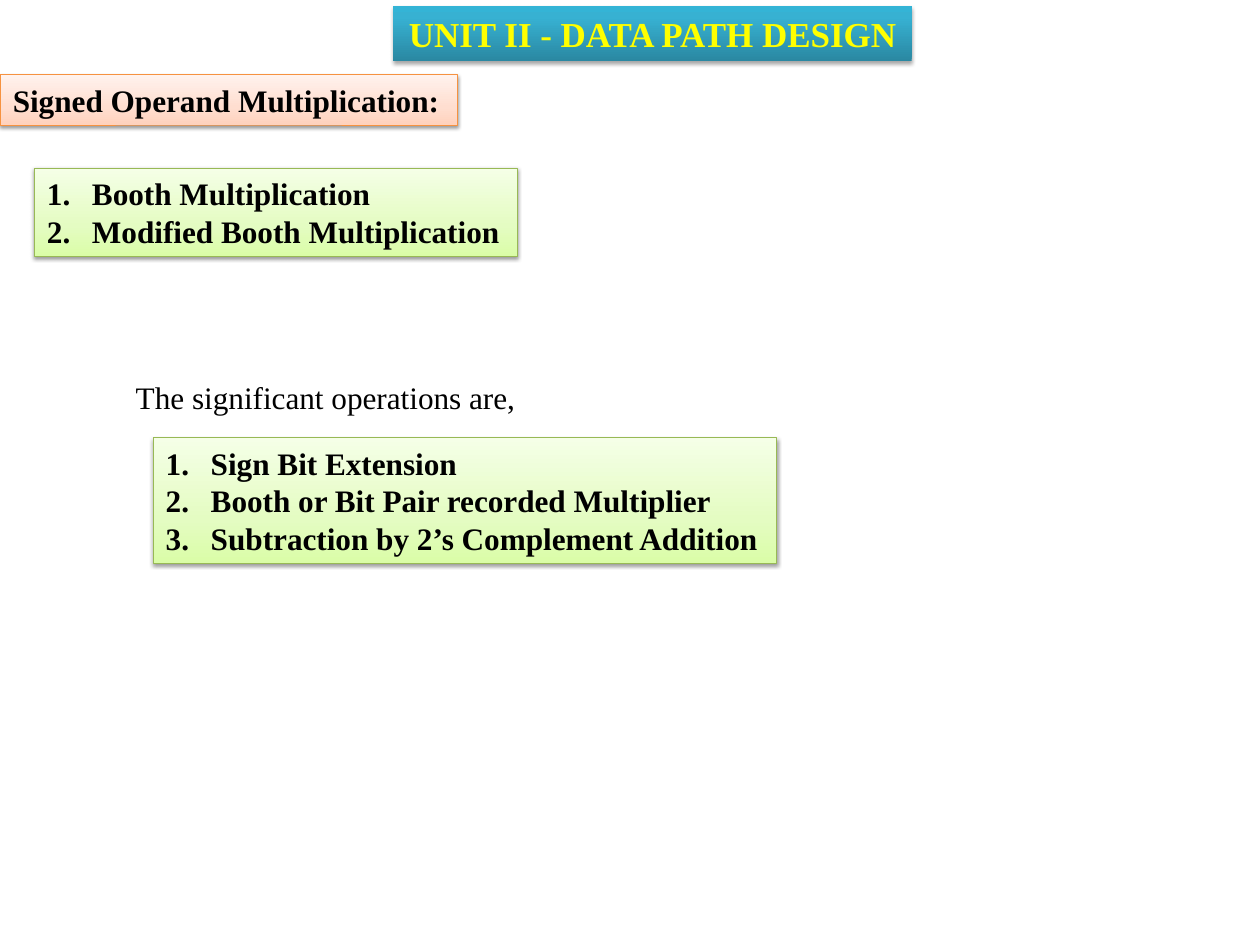
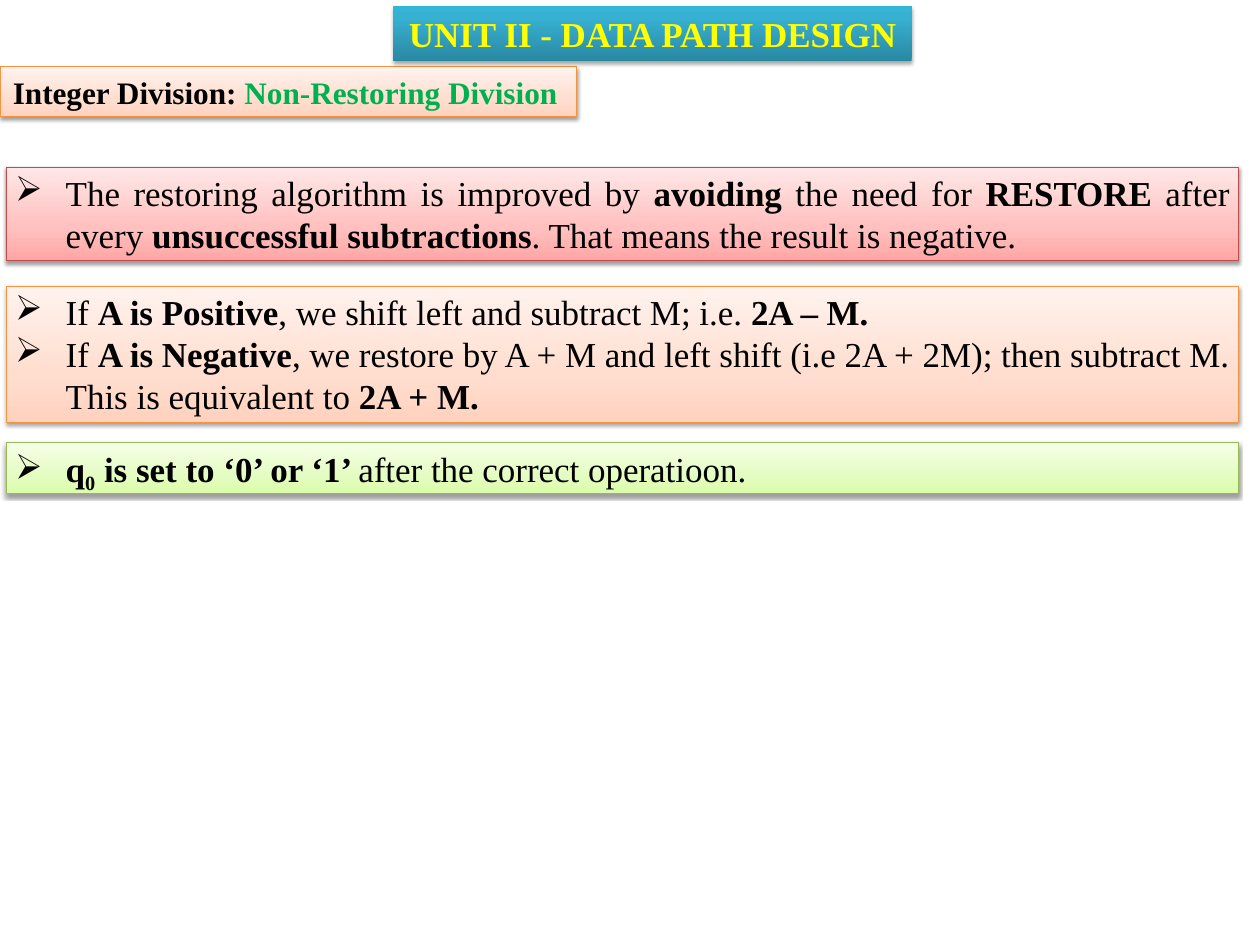
from copy import deepcopy

from lxml import etree
from pptx import Presentation
from pptx.dml.color import RGBColor
from pptx.enum import shapes, text
from pptx.oxml.ns import qn
from pptx.util import Pt

FONT = "Times New Roman"
BLACK, YELLOW, GREEN = "000000", "FFFF00", "00B050"
UNIT_TITLE = "UNIT II - DATA PATH DESIGN"

# Gradient stops run from the bottom edge to the top edge.
STYLES = {
    "teal": {"stops": [(0, "2A88A2"), (0.8, "37B1D2"), (1, "34B4D6")],
             "line": None, "shadow": (1.8, 35)},
    "orange": {"stops": [(0, "FFD2BD"), (0.35, "FFDED0"), (1, "FFF2ED")],
               "line": "F69240", "shadow": (1.6, 38)},
    "green": {"stops": [(0, "DAFDA7"), (0.35, "E4FCC2"), (1, "F5FFE7")],
              "line": "98B955", "shadow": (1.6, 38)},
    "red": {"stops": [(0, "FFA6A5"), (0.35, "FFC0BF"), (1, "FFE7E7")],
            "line": "BF4C48", "shadow": (1.6, 38)},
}

PLAIN = {}
BOLD = {"bold": True}
BOLD_GREEN = {"bold": True, "color": GREEN}
BOLD_SUB = {"bold": True, "baseline": -25}

# A paragraph is a list of (words, format) runs.
MULTIPLICATION = {
    "heading": [("Signed Operand Multiplication:", BOLD)],
    "heading_place": (0, 59.75, 365.75, 40.3),
    "lists": [
        ((27.4, 134.6, 386.6, 70.6),
         ["Booth Multiplication", "Modified Booth Multiplication"]),
        ((122.4, 350, 499, 100.8),
         ["Sign Bit Extension", "Booth or Bit Pair recorded Multiplier",
          "Subtraction by 2’s Complement Addition"]),
    ],
    "lead_in": "The significant operations are,",
    "lead_in_place": (101.5, 298.8, 322.6, 37.4),
}

DIVISION = {
    "heading": [("Integer Division: ", BOLD),
                ("Non-Restoring Division", BOLD_GREEN)],
    "heading_place": (0, 53.3, 461.5, 40.3),
    "rules": [
        ("red", 133.9, 74.9, [
            [("The restoring algorithm is improved by ", PLAIN),
             ("avoiding", BOLD), (" the need for ", PLAIN),
             ("RESTORE", BOLD), (" after every ", PLAIN),
             ("unsuccessful subtractions", BOLD),
             (". That means the result is negative.", PLAIN)],
        ]),
        ("orange", 229, 108.7, [
            [("If ", PLAIN), ("A is Positive", BOLD),
             (", we shift left and subtract M; i.e. ", PLAIN),
             ("2A – M.", BOLD)],
            [("If ", PLAIN), ("A is Negative", BOLD),
             (", we restore by A + M and left shift (i.e 2A + 2M); "
              "then subtract M. This is equivalent to ", PLAIN),
             ("2A + M.", BOLD)],
        ]),
        ("green", 354.2, 41, [
            [("q", BOLD), ("0", BOLD_SUB), (" is set to ‘0’ or ‘1’ ", BOLD),
             ("after the correct operatioon.", PLAIN)],
        ]),
    ],
}

NUMBERED = ("buAutoNum", {"type": "arabicPeriod"}, 36)
ARROWED = ("buChar", {"char": "➢"}, 40.5)


def rgb(value):
    return RGBColor.from_string(value)


def add_child(parent, tag, **attributes):
    child = etree.SubElement(parent, qn("a:" + tag))
    for name, value in attributes.items():
        child.set(name, str(value))
    return child


def set_gradient(shape, stops):
    shape.fill.gradient()
    shape.fill.gradient_angle = 90
    stop_list = next(shape._element.iter(qn("a:gsLst")))
    stop_list.append(deepcopy(stop_list[0]))
    for stop, (position, color) in zip(shape.fill.gradient_stops, stops):
        stop.position = position
        stop.color.rgb = rgb(color)


def set_shadow(shape, distance, opacity):
    shape.shadow.inherit = False
    effects = shape._element.spPr.find(qn("a:effectLst"))
    outer = add_child(effects, "outerShdw", blurRad=Pt(3.1), dist=Pt(distance),
                      dir=5400000, rotWithShape=0)
    add_child(add_child(outer, "srgbClr", val=BLACK), "alpha", val=opacity * 1000)


def add_bullet(paragraph, bullet):
    tag, attributes, indent = bullet
    properties = paragraph._p.get_or_add_pPr()
    properties.set("marL", str(Pt(indent)))
    properties.set("indent", str(-Pt(indent)))
    add_child(properties, tag, **attributes)


def write(shape, paragraphs, size, color=BLACK, align="LEFT", bullet=None,
          wrap=False, insets=(7.2, 3.6)):
    frame = shape.text_frame
    side, edge = (Pt(inset) for inset in insets)
    settings = {"word_wrap": wrap, "margin_left": side, "margin_right": side,
                "margin_top": edge, "margin_bottom": edge,
                "vertical_anchor": text.MSO_ANCHOR.TOP,
                "auto_size": text.MSO_AUTO_SIZE.SHAPE_TO_FIT_TEXT}
    for name, value in settings.items():
        setattr(frame, name, value)
    for index, runs in enumerate(paragraphs):
        paragraph = frame.add_paragraph() if index else frame.paragraphs[0]
        paragraph.alignment = getattr(text.PP_ALIGN, align)
        if bullet:
            add_bullet(paragraph, bullet)
        for words, look in runs:
            run = paragraph.add_run()
            run.text = words
            font = {"name": FONT, "size": Pt(size), "bold": look.get("bold", False)}
            for name, value in font.items():
                setattr(run.font, name, value)
            run.font.color.rgb = rgb(look.get("color", color))
            if "baseline" in look:
                run._r.get_or_add_rPr().set("baseline", str(look["baseline"] * 1000))


def add_panel(slide, style_name, place, paragraphs, size, **layout):
    """Draw a gradient rectangle with a soft shadow and its text."""
    style = STYLES[style_name]
    panel = slide.shapes.add_shape(shapes.MSO_SHAPE.RECTANGLE, *map(Pt, place))
    set_gradient(panel, style["stops"])
    if style["line"]:
        panel.line.color.rgb = rgb(style["line"])
        panel.line.width = Pt(0.75)
    else:
        panel.line.fill.background()
    set_shadow(panel, *style["shadow"])
    write(panel, paragraphs, size, **layout)


def add_topic_slide(deck, topic):
    """Add a slide with the topic heading and the unit title."""
    slide = deck.slides.add_slide(deck.slide_layouts[6])
    roomy = {"insets": (10.2, 5.1)}
    add_panel(slide, "orange", topic["heading_place"], [topic["heading"]], 25, **roomy)
    add_panel(slide, "teal", (314.6, 5, 414.7, 43.9), [[(UNIT_TITLE, BOLD)]], 28,
              color=YELLOW, align="CENTER", **roomy)
    for place, items in topic.get("lists", []):
        add_panel(slide, "green", place, [[(item, BOLD)] for item in items], 25,
                  align="JUSTIFY", bullet=NUMBERED, **roomy)
    for style_name, top, height, paragraphs in topic.get("rules", []):
        add_panel(slide, style_name, (5, top, 985.7, height), paragraphs, 28,
                  align="JUSTIFY", bullet=ARROWED, wrap=True)
    if "lead_in" in topic:
        lead_in = slide.shapes.add_textbox(*map(Pt, topic["lead_in_place"]))
        write(lead_in, [[(topic["lead_in"], PLAIN)]], 25)


def main():
    deck = Presentation()
    deck.slide_width, deck.slide_height = Pt(1008), Pt(756)
    for topic in (MULTIPLICATION, DIVISION):
        add_topic_slide(deck, topic)
    deck.save("out.pptx")


if __name__ == "__main__":
    main()
